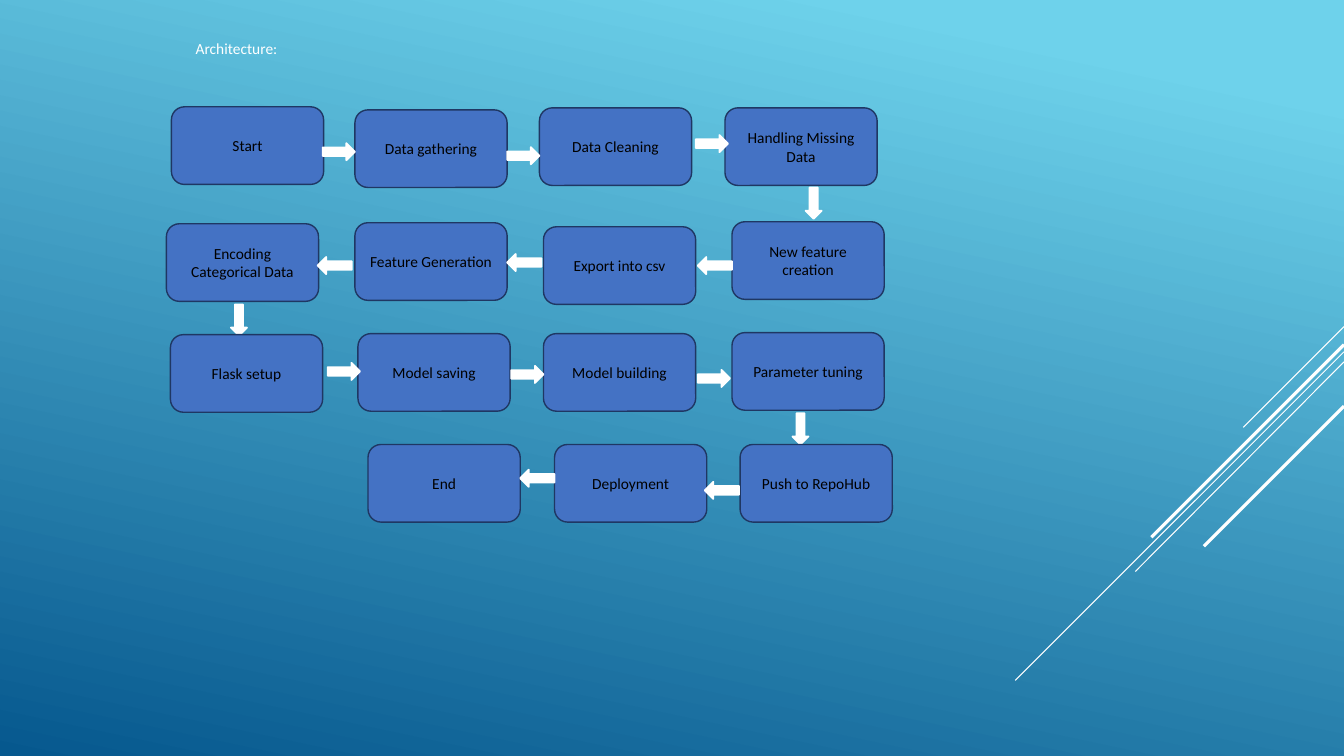
from lxml import etree
from pptx import Presentation
from pptx import util as u
from pptx.dml.color import RGBColor
from pptx.enum import shapes, text
from pptx.oxml.ns import qn

PX = 9144
WHITE = "FFFFFF"
STEP_SIZE = (151, 77)
KIND = shapes.MSO_SHAPE
ARROWS = {
    "right": (KIND.RIGHT_ARROW, 32, 17),
    "left": (KIND.LEFT_ARROW, 34, 17),
    "down": (KIND.DOWN_ARROW, 16, 31),
}

FLOW_ROWS = [
    ([("Start", 5, 0), ("Data gathering", 187, 3), ("Data Cleaning", 370, 1),
      ("Handling Missing Data", 554, 1)],
     [("right", 155, 36), ("right", 338, 40), ("right", 525, 28), ("down", 634, 80)]),
    ([("Encoding Categorical Data", 0, 2), ("Feature Generation", 187, 1),
      ("Export into csv", 374, 5), ("New feature creation", 561, 0)],
     [("left", 150, 35), ("left", 338, 32), ("left", 527, 35), ("down", 64, 82)]),
    ([("Flask setup", 4, 2), ("Model saving", 190, 1), ("Model building", 374, 1),
      ("Parameter tuning", 561, 0)],
     [("right", 160, 30), ("right", 342, 33), ("right", 527, 37), ("down", 621, 80)]),
    ([("End", 200, 0), ("Deployment", 385, 0), ("Push to RepoHub", 569, 0)],
     [("left", 351, 25), ("left", 534, 37)]),
]
ROW_TOPS = [0, 114, 224, 335]

STREAKS = [
    (326, 0, 226, 100, 0.75),
    (326, 25, 0, 351, 0.75),
    (326, 35, 119, 243, 0.75),
    (326, 18, 135, 209, 2.25),
    (326, 79, 187, 218, 2.25),
]


def px(*lengths):
    return [u.Emu(length * PX) for length in lengths]


def color(value):
    return RGBColor.from_string(value)


def write(shape, words, value, align):
    frame = shape.text_frame
    frame.word_wrap = True
    frame.vertical_anchor = text.MSO_ANCHOR.MIDDLE
    para = frame.paragraphs[0]
    para.alignment = align
    span = para.add_run()
    span.text = words
    span.font.name = "Calibri"
    span.font.size = u.Pt(11)
    span.font.color.rgb = color(value)


def add_filled(page, kind, box, fill, line, weight):
    shape = page.shapes.add_shape(kind, *px(*box))
    shape.shadow.inherit = False
    shape.fill.solid()
    shape.fill.fore_color.rgb = color(fill)
    shape.line.color.rgb = color(line)
    shape.line.width = u.Pt(weight)
    return shape


def paint_background(page):
    fill = page.background.fill
    fill.gradient()
    fill.gradient_angle = 258
    stops = [(0.1, "6ED2EB"), (1, "06588E")]
    for stop, (position, value) in zip(fill.gradient_stops, stops):
        stop.position = position
        stop.color.rgb = color(value)


def draw_streaks(page, left, top):
    for x1, y1, x2, y2, weight in STREAKS:
        streak = page.shapes.add_connector(
            shapes.MSO_CONNECTOR.STRAIGHT,
            *px(left + x1, top + y1, left + x2, top + y2))
        streak.line.color.rgb = color(WHITE)
        streak.line.width = u.Pt(weight)
        etree.SubElement(streak._element.spPr, qn("a:effectLst"))


def place_title(page, box):
    title = page.shapes.title
    title.left, title.top, title.width, title.height = px(*box)
    write(title, "Architecture:", WHITE, text.PP_ALIGN.LEFT)


def draw_row(page, left, top, steps, arrows):
    for words, x, y in steps:
        step = add_filled(page, KIND.ROUNDED_RECTANGLE, (left + x, top + y, *STEP_SIZE),
                          "4472C4", "1F3763", 1)
        write(step, words, "000000", text.PP_ALIGN.CENTER)
    for direction, x, y in arrows:
        kind, width, height = ARROWS[direction]
        add_filled(page, kind, (left + x, top + y, width, height), WHITE, WHITE, 1.25)


def draw_flow(page, left, top):
    for row_top, (steps, arrows) in zip(ROW_TOPS, FLOW_ROWS):
        draw_row(page, left, top + row_top, steps, arrows)


def main():
    deck = Presentation()
    deck.slide_width, deck.slide_height = px(1333, 750)
    page = deck.slides.add_slide(deck.slide_layouts[5])
    paint_background(page)
    draw_streaks(page, 1007, 324)
    draw_flow(page, 165, 106)
    place_title(page, (184, 34, 300, 28))
    deck.save("out.pptx")


if __name__ == "__main__":
    main()
